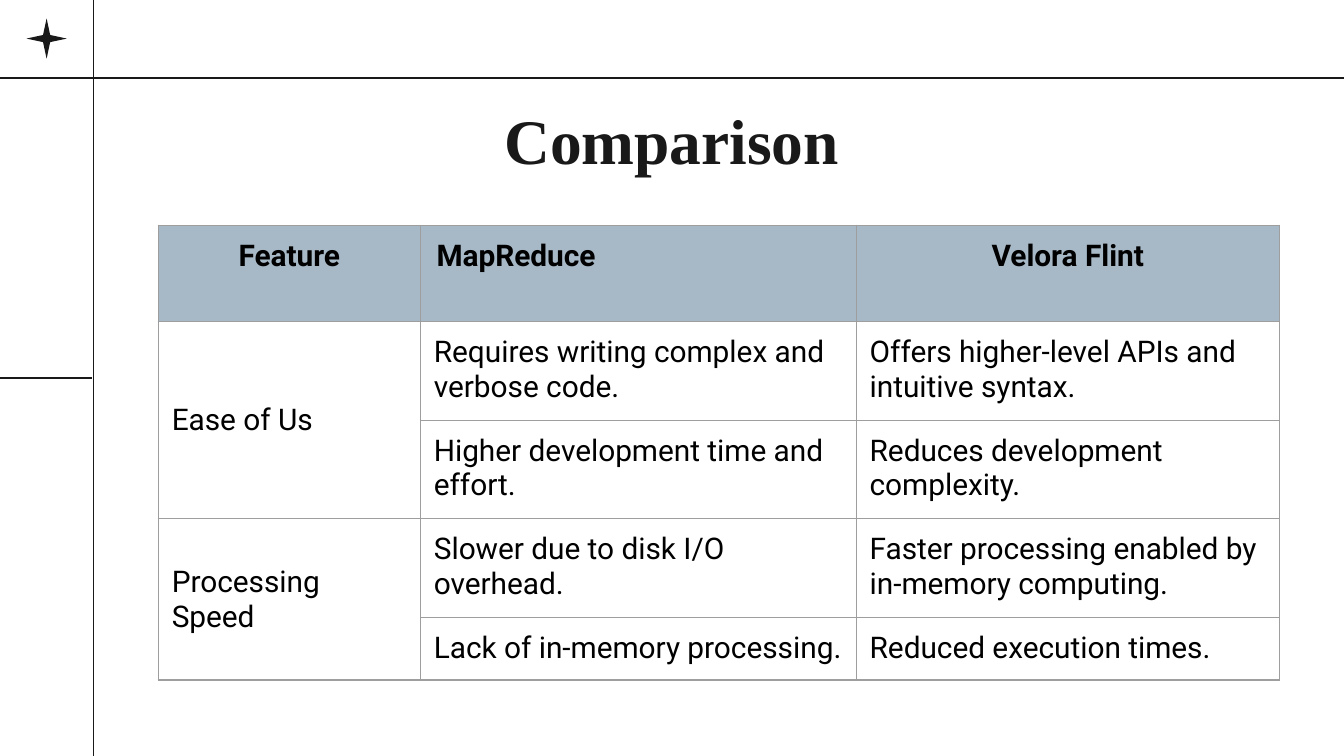
from lxml import etree
from pptx import Presentation
from pptx.dml.color import RGBColor
from pptx.enum.shapes import MSO_CONNECTOR, MSO_SHAPE
from pptx.enum.text import MSO_ANCHOR, PP_ALIGN
from pptx.oxml.ns import qn
from pptx.util import Pt

LINE, STAR = MSO_CONNECTOR.STRAIGHT, MSO_SHAPE.STAR_4_POINT
TOP, MID, BOTTOM = MSO_ANCHOR.TOP, MSO_ANCHOR.MIDDLE, MSO_ANCHOR.BOTTOM
LEFT, CENTER = PP_ALIGN.LEFT, PP_ALIGN.CENTER

COLORS = {"ink": "191919", "text": "000000", "head": "7994A9", "grid": "9E9E9E"}
TITLE = "Comparison"
HEADS = [("Feature", CENTER), ("MapReduce", LEFT), ("Velora Flint", CENTER)]
GROUPS = [
    ("Ease of Us", [
        ("Requires writing complex and verbose code.",
         "Offers higher-level APIs and intuitive syntax."),
        ("Higher development time and effort.",
         "Reduces development complexity."),
    ]),
    ("Processing Speed", [
        ("Slower due to disk I/O overhead.",
         "Faster processing enabled by in-memory computing."),
        ("Lack of in-memory processing.", "Reduced execution times."),
    ]),
]
RULES = [(-1.5, 202.5, 49.3, 202.5), (-3, 41.8, 723, 41.8), (50.1, -2, 50.1, 407)]
WIDTHS = [140.4, 233.5, 226.7]
HEIGHTS = [51.6, 30, 30, 30, 30]  # body rows grow to fit their text
PAD = 7.2


def rgb(name):
    return RGBColor.from_string(COLORS[name])


def style(para, font, size, color, bold, align):
    para.alignment = align
    para.font.name, para.font.size, para.font.bold = font, Pt(size), bold
    para.font.color.rgb = rgb(color)


def pad(box):
    box.margin_left = box.margin_right = Pt(PAD)
    box.margin_top = box.margin_bottom = Pt(PAD)


def border(cell):
    props = cell._tc.get_or_add_tcPr()
    for i, side in enumerate(("lnL", "lnR", "lnT", "lnB")):
        line = etree.Element(qn("a:" + side), w=str(Pt(0.75)))
        fill = etree.SubElement(line, qn("a:solidFill"))
        etree.SubElement(fill, qn("a:srgbClr"), val=COLORS["grid"])
        props.insert(i, line)


def write(cell, text, bold=False, align=LEFT, anchor=TOP):
    cell.text = text
    cell.vertical_anchor = anchor
    style(cell.text_frame.paragraphs[0], "Roboto", 16, "text", bold, align)


def add_frame(slide):
    """Draw the page rules and the corner star."""
    for x1, y1, x2, y2 in RULES:
        rule = slide.shapes.add_connector(LINE, Pt(x1), Pt(y1), Pt(x2), Pt(y2))
        rule.line.color.rgb = rgb("ink")
        rule.line.width = Pt(0.75)
        etree.SubElement(rule._element.spPr, qn("a:effectLst"))
    star = slide.shapes.add_shape(STAR, Pt(14.2), Pt(9.9), Pt(21.6), Pt(21.6))
    star.adjustments[0] = 0.125
    star.shadow.inherit = False
    star.fill.solid()
    star.fill.fore_color.rgb = rgb("ink")
    star.line.fill.background()


def add_title(slide):
    frame = slide.shapes.add_textbox(Pt(221.8), Pt(53.3), Pt(276), Pt(49)).text_frame
    pad(frame)
    frame.word_wrap = True
    frame.vertical_anchor = BOTTOM
    frame.text = TITLE
    style(frame.paragraphs[0], "Times New Roman", 34, "ink", True, CENTER)


def add_grid(slide):
    table = slide.shapes.add_table(
        len(HEIGHTS), len(WIDTHS), Pt(84.8), Pt(120.7),
        Pt(sum(WIDTHS)), Pt(sum(HEIGHTS))).table
    table.first_row = table.horz_banding = False
    for col, width in zip(table.columns, WIDTHS):
        col.width = Pt(width)
    for row, height in zip(table.rows, HEIGHTS):
        row.height = Pt(height)
    for cell in table.iter_cells():
        pad(cell)
        cell.fill.background()
        border(cell)

    for c, (text, align) in enumerate(HEADS):
        cell = table.cell(0, c)
        write(cell, text, True, align)
        cell.fill.solid()
        cell.fill.fore_color.rgb = rgb("head")
        tint = cell._tc.tcPr.find(qn("a:solidFill"))[0]
        etree.SubElement(tint, qn("a:alpha"), val="65000")
    table.cell(0, 1).margin_left = Pt(PAD + 1.5)

    r = 1
    for label, pairs in GROUPS:
        first = table.cell(r, 0)
        first.merge(table.cell(r + len(pairs) - 1, 0))
        write(first, label, anchor=MID)
        for pair in pairs:
            for c, text in enumerate(pair, 1):
                write(table.cell(r, c), text)
            r += 1


def main():
    deck = Presentation()
    deck.slide_width, deck.slide_height = Pt(720), Pt(405)
    slide = deck.slides.add_slide(deck.slide_layouts[6])
    add_frame(slide)
    add_title(slide)
    add_grid(slide)
    deck.save("out.pptx")


if __name__ == "__main__":
    main()
